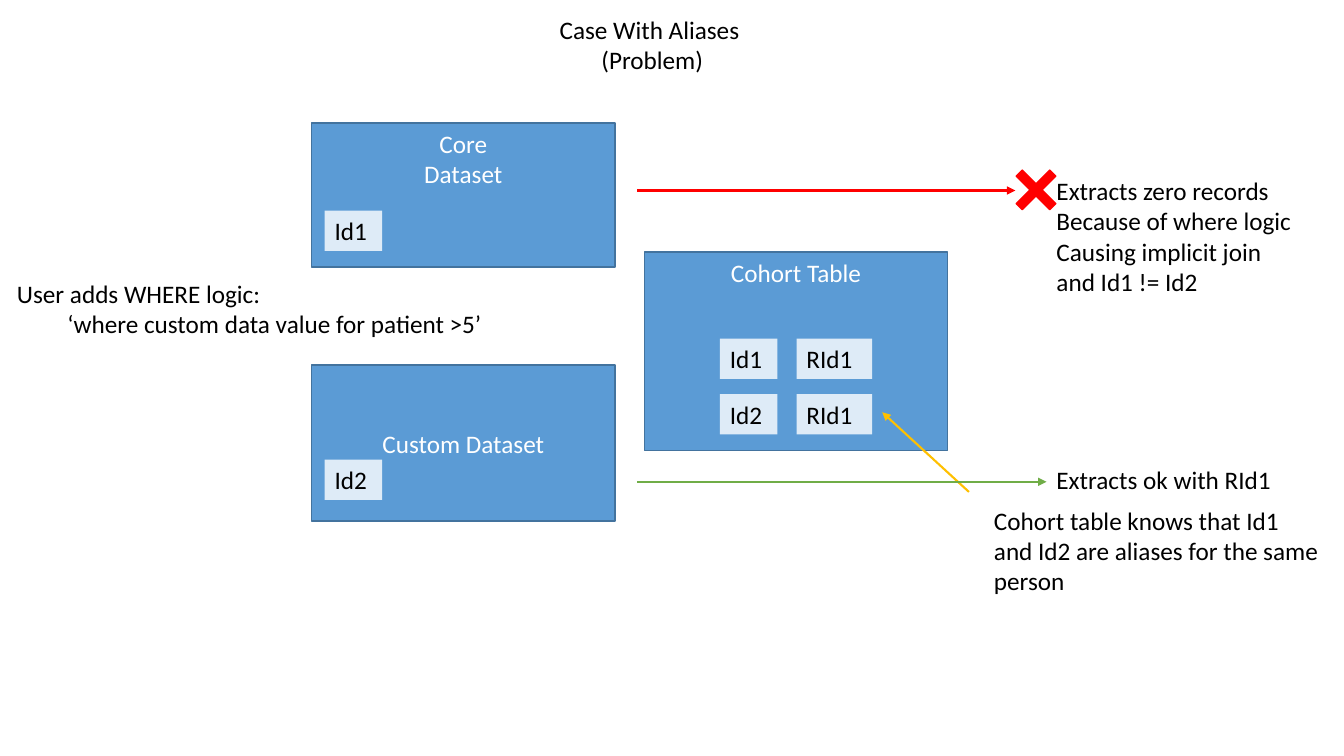
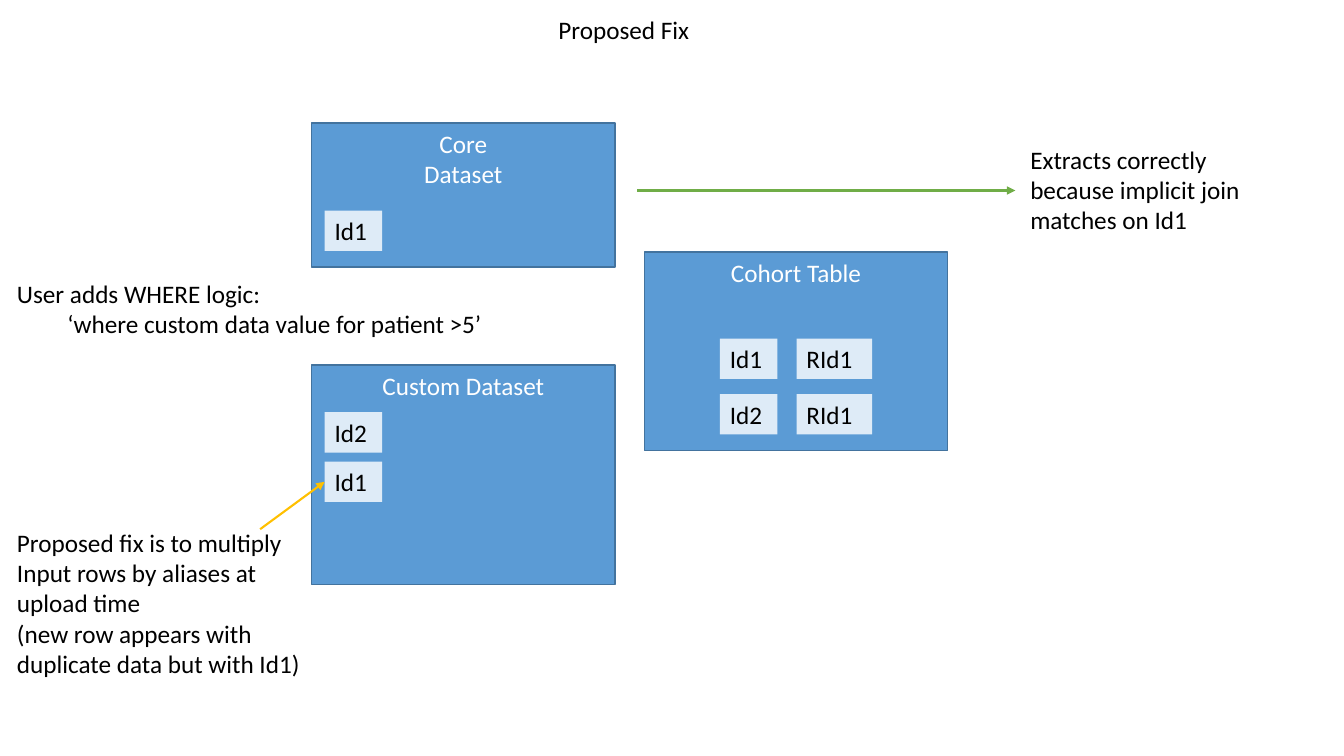
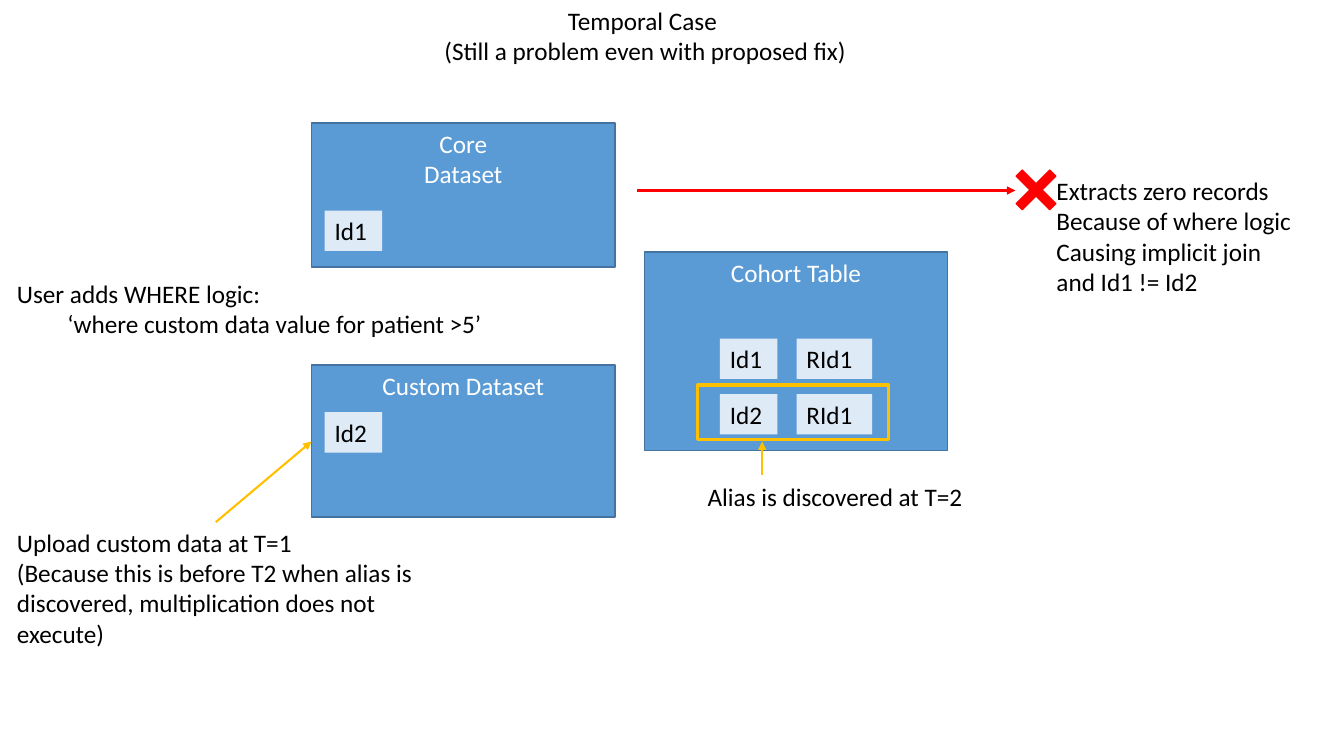
"""Build three slides on patient identifier aliases in cohort extraction."""
from lxml import etree
from pptx import Presentation
from pptx.dml.color import RGBColor
from pptx.enum.shapes import MSO_CONNECTOR, MSO_SHAPE
from pptx.enum.text import MSO_ANCHOR, MSO_AUTO_SIZE, PP_ALIGN
from pptx.oxml.ns import qn
from pptx.util import Inches, Pt

RECT, CROSS, STRAIGHT = MSO_SHAPE.RECTANGLE, MSO_SHAPE.CROSS, MSO_CONNECTOR.STRAIGHT
TOP, MIDDLE = MSO_ANCHOR.TOP, MSO_ANCHOR.MIDDLE
LEFT, CENTER = PP_ALIGN.LEFT, PP_ALIGN.CENTER
FIT = MSO_AUTO_SIZE.SHAPE_TO_FIT_TEXT

BLUE = RGBColor(0x5B, 0x9B, 0xD5)
DARK_BLUE = RGBColor(0x43, 0x73, 0x9E)
PALE_BLUE = RGBColor(0xDE, 0xEB, 0xF7)
RED = RGBColor(0xFF, 0x00, 0x00)
GREEN = RGBColor(0x70, 0xAD, 0x47)
AMBER = RGBColor(0xFF, 0xC0, 0x00)
BLACK = RGBColor(0x00, 0x00, 0x00)
WHITE = RGBColor(0xFF, 0xFF, 0xFF)

PANEL_X, PANEL_W = 3.09, 3.01
CHIP_X, CHIP_H = 3.22, 0.4
CHIP_WIDTHS = {"Id1": 0.57, "Id2": 0.57, "RId1": 0.75}
CORE_ARROW = (6.32, 1.89, 10.07, 1.89)

WHERE_LOGIC = (0.07, 2.71, 5.37, 0.71,
               ["User adds WHERE logic:", "\t‘where custom data value for patient >5’"])
ZERO_RECORDS = (10.38, 1.69, 2.55, 1.31,
                ["Extracts zero records", "Because of where logic ",
                 "Causing implicit join and Id1 != Id2"])
SHARED_CHIPS = [("Id1", CHIP_X, 2.09)] + [
    chip for name, y in (("Id1", 3.36), ("Id2", 3.91))
    for chip in ((name, 7.14, y), ("RId1", 7.9, y))]

SLIDES = [
    {"title": (5.44, 0.09, 2.06, 0.71, ["Case With Aliases ", "(Problem)"]),
     "title_align": CENTER,
     "custom_height": 1.55, "custom_anchor": MIDDLE,
     "custom_chips": [("Id2", CHIP_X, 4.56)],
     "notes": [ZERO_RECORDS,
               (9.76, 4.96, 3.45, 1.01,
                ["Cohort table knows that Id1 and Id2 are aliases for the same person"]),
               (10.38, 4.56, 2.83, 0.4, ["Extracts ok with RId1"])],
     "arrows": [((9.61, 4.88, 8.75, 4.09), AMBER), (CORE_ARROW, RED),
                ((6.32, 4.78, 10.38, 4.78), GREEN)],
     "fails": True, "highlight": False},
    {"title": (5.44, 0.09, 1.51, 0.4, ["Proposed Fix"]),
     "title_align": LEFT,
     "custom_height": 2.18, "custom_anchor": TOP,
     "custom_chips": [("Id2", CHIP_X, 4.09), ("Id1", CHIP_X, 4.58)],
     "notes": [(10.12, 1.38, 2.55, 1.01,
                ["Extracts correctly because implicit join matches on Id1"]),
               (0.07, 5.18, 3.45, 1.62,
                ["Proposed fix is to multiply", "Input rows by aliases at ", "upload time",
                 "(new row appears with duplicate data but with Id1)"])],
     "arrows": [(CORE_ARROW, GREEN), ((2.58, 5.25, 3.22, 4.78), AMBER)],
     "fails": False, "highlight": False},
    {"title": (4.28, 0, 4.24, 0.71,
               ["Temporal Case ", "(Still a problem even with proposed fix)"]),
     "title_align": CENTER,
     "custom_height": 1.51, "custom_anchor": TOP,
     "custom_chips": [("Id2", CHIP_X, 4.09)],
     "notes": [ZERO_RECORDS,
               (0.07, 5.18, 4.14, 1.31,
                ["Upload custom data at T=1",
                 "(Because this is before T2 when alias is discovered, "
                 "multiplication does not execute)"]),
               (6.92, 4.73, 3.45, 0.4, ["Alias is discovered at T=2"])],
     "arrows": [((2.14, 5.18, 3.09, 4.38), AMBER), ((7.56, 4.71, 7.56, 4.38), AMBER),
                (CORE_ARROW, RED)],
     "fails": True, "highlight": True},
]


def write(tf, lines, color=BLACK, align=LEFT):
    """Fill a text frame with one paragraph per line."""
    for i, line in enumerate(lines):
        p = tf.add_paragraph() if i else tf.paragraphs[0]
        p.alignment = align
        r = p.add_run()
        r.text = line
        r.font.name = "Calibri"
        r.font.size = Pt(18)
        r.font.color.rgb = color


def add_outlined(s, kind, box, line, width=1, fill=None):
    """Add a flat preset shape with an outline and an optional fill."""
    sp = s.shapes.add_shape(kind, *map(Inches, box))
    sp.shadow.inherit = False
    if fill is None:
        sp.fill.background()
    else:
        sp.fill.solid()
        sp.fill.fore_color.rgb = fill
    sp.line.color.rgb = line
    sp.line.width = Pt(width)
    return sp


prs = Presentation()
prs.slide_width, prs.slide_height = Inches(13.33), Inches(7.5)

for case in SLIDES:
    s = prs.slides.add_slide(prs.slide_layouts[6])

    panels = [
        (PANEL_X, 1.22, 1.43, TOP, ["Core", "Dataset"]),
        (6.39, 2.5, 1.97, TOP, ["Cohort Table"]),
        (PANEL_X, 3.62, case["custom_height"], case["custom_anchor"], ["Custom Dataset"]),
    ]
    for x, y, h, anchor, lines in panels:
        sp = add_outlined(s, RECT, (x, y, PANEL_W, h), DARK_BLUE, fill=BLUE)
        sp.text_frame.vertical_anchor = anchor
        write(sp.text_frame, lines, WHITE, CENTER)

    for name, x, y in SHARED_CHIPS + case["custom_chips"]:
        sp = s.shapes.add_textbox(*map(Inches, (x, y, CHIP_WIDTHS[name], CHIP_H)))
        sp.fill.solid()
        sp.fill.fore_color.rgb = PALE_BLUE
        sp.text_frame.word_wrap = True
        sp.text_frame.auto_size = FIT
        write(sp.text_frame, [name])

    labels = [(case["title"], case["title_align"], False), (WHERE_LOGIC, LEFT, False)]
    labels += [(note, LEFT, True) for note in case["notes"]]
    for (*box, lines), align, wrap in labels:
        tf = s.shapes.add_textbox(*map(Inches, box)).text_frame
        tf.word_wrap = wrap
        tf.auto_size = FIT
        write(tf, lines, align=align)

    for ends, color in case["arrows"]:
        arrow = s.shapes.add_connector(STRAIGHT, *map(Inches, ends))
        arrow.line.color.rgb = color
        arrow.line.width = Pt(1.5)
        etree.SubElement(arrow.line._get_or_add_ln(), qn("a:tailEnd"), type="triangle")
        etree.SubElement(arrow._element.spPr, qn("a:effectLst"))

    if case["highlight"]:
        add_outlined(s, RECT, (6.92, 3.82, 1.89, 0.54), AMBER, 2.25)
    if case["fails"]:
        sp = add_outlined(s, CROSS, (10.04, 1.65, 0.47, 0.47), RED, fill=RED)
        sp.adjustments[0] = 0.41
        sp.rotation = 45

prs.save("out.pptx")
